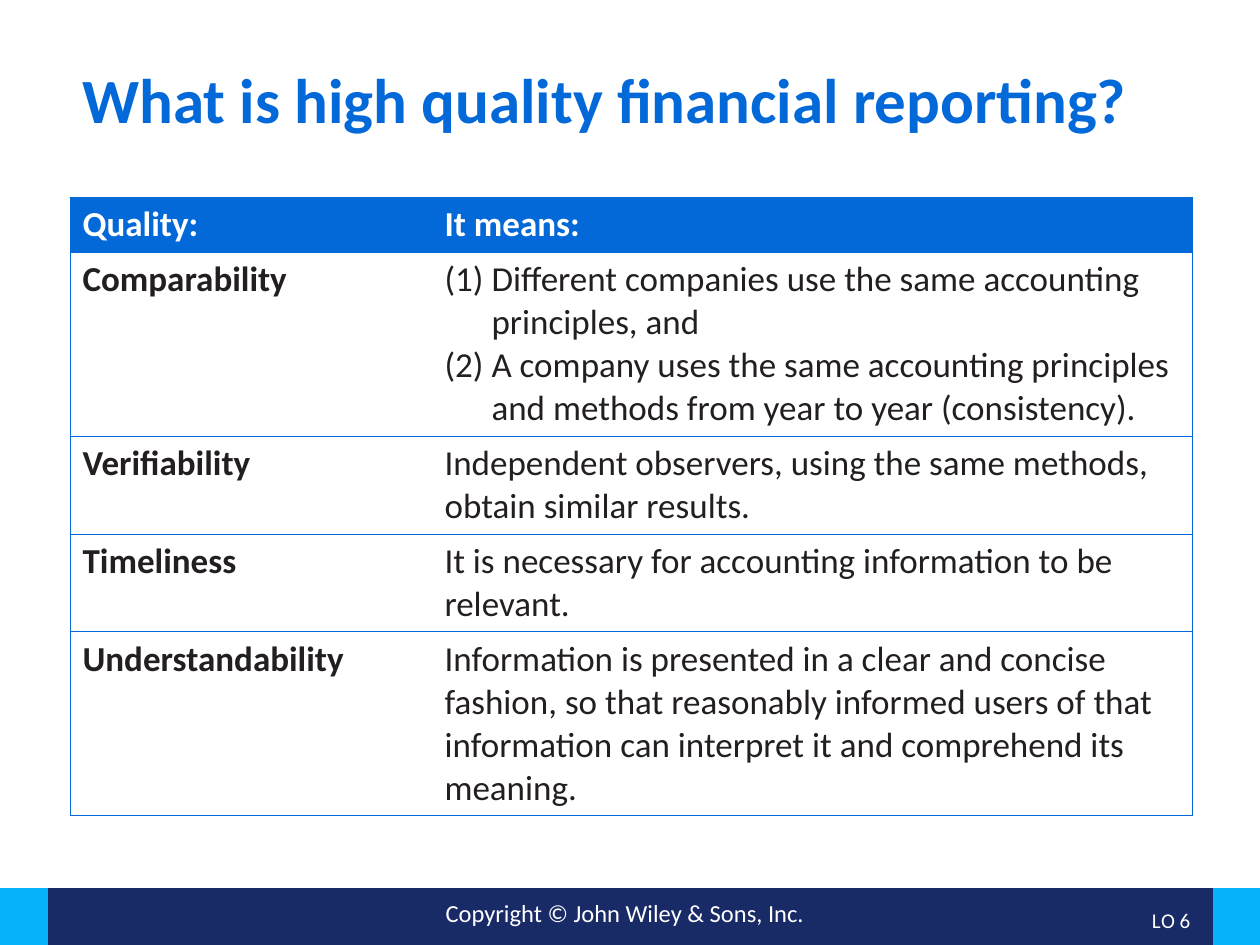
import pptx
import pptx.dml.color
import pptx.enum.shapes
import pptx.enum.text
import pptx.oxml.ns
import pptx.util
from lxml import etree

RGB = pptx.dml.color.RGBColor
ALIGN = pptx.enum.text.PP_ALIGN
ANCHOR = pptx.enum.text.MSO_ANCHOR
BLUE = RGB(0x04, 0x69, 0xD8)
NAVY = RGB(0x19, 0x2B, 0x67)
SKY = RGB(0x06, 0xB2, 0xFA)
INK = RGB(0x23, 0x1F, 0x20)
WHITE = RGB(0xFF, 0xFF, 0xFF)

TITLE = "What is high quality financial reporting?"
COPYRIGHT = "Copyright © John Wiley & Sons, Inc."
OBJECTIVE = [("L", 12), (" ", 1), ("O 6", 12)]
ROWS = [
    ("Quality:", ["It means:"]),
    ("Comparability", [
        "Different companies use the same accounting principles, and",
        "A company uses the same accounting principles and methods from year to year (consistency).",
    ]),
    ("Verifiability", ["Independent observers, using the same methods, obtain similar results."]),
    ("Timeliness", ["It is necessary for accounting information to be relevant."]),
    ("Understandability", [
        "Information is presented in a clear and concise fashion, so that reasonably informed "
        "users of that information can interpret it and comprehend its meaning.",
    ]),
]
COLUMN_WIDTHS = [362, 760]
ROW_HEIGHTS = [55, 184, 98, 98, 184]
TABLE_LEFT, TABLE_TOP = 70, 197
BANDS = [(48, 1165, NAVY), (0, 48, SKY), (1213, 47, SKY)]
BAND_TOP, BAND_HEIGHT = 888, 57
NUMBER_INDENT = 47


def px(length):
    return pptx.util.Emu(round(length * 914400 / 126))


def place(shape, left, top, width, height):
    shape.left, shape.top, shape.width, shape.height = map(px, (left, top, width, height))


def write(para, text, size, color, bold=False):
    span = para.add_run()
    span.text = text
    span.font.color.rgb = color
    for name, value in {"name": "Calibri", "size": pptx.util.Pt(size), "bold": bold}.items():
        setattr(span.font, name, value)


def set_bullet(para, kind, indent=0, **attributes):
    properties = para._p.get_or_add_pPr()
    properties.set("marL", str(px(indent)))
    properties.set("indent", str(-px(indent)))
    etree.SubElement(properties, pptx.oxml.ns.qn(kind), attributes)


def set_borders(cell, sides):
    properties = cell._tc.get_or_add_tcPr()
    for side in "LRTB":
        line = etree.SubElement(properties, pptx.oxml.ns.qn(f"a:ln{side}"), w="6350")
        if side in sides:
            fill = etree.SubElement(line, pptx.oxml.ns.qn("a:solidFill"))
            etree.SubElement(fill, pptx.oxml.ns.qn("a:srgbClr"), val=str(BLUE))
        else:
            etree.SubElement(line, pptx.oxml.ns.qn("a:noFill"))


def fill_cell(cell, texts, color, bold):
    for index, text in enumerate(texts):
        frame = cell.text_frame
        para = frame.add_paragraph() if index else frame.paragraphs[0]
        if len(texts) > 1:
            set_bullet(para, "a:buAutoNum", NUMBER_INDENT, type="arabicParenBoth")
        write(para, text, 20, color, bold)


def add_footer(slide):
    for left, width, color in BANDS:
        band = slide.shapes.add_shape(
            pptx.enum.shapes.MSO_SHAPE.RECTANGLE,
            px(left), px(BAND_TOP), px(width), px(BAND_HEIGHT))
        band.shadow.inherit = False
        band.fill.solid()
        band.fill.fore_color.rgb = color
        band.line.fill.background()
    box = slide.shapes.add_textbox(px(315), px(892), px(620), px(43))
    box.text_frame.word_wrap = True
    para = box.text_frame.paragraphs[0]
    para.alignment = ALIGN.CENTER
    write(para, COPYRIGHT, 14, WHITE)


def add_title(slide):
    title = slide.shapes.title
    place(title, 70, 63, 1120, 117)
    title.text_frame.vertical_anchor = ANCHOR.TOP
    title.text_frame.auto_size = pptx.enum.text.MSO_AUTO_SIZE.NONE
    para = title.text_frame.paragraphs[0]
    para.alignment = ALIGN.LEFT
    para.line_spacing = 0.9
    write(para, TITLE, 36, BLUE, True)


def add_quality_table(slide):
    table = slide.shapes.add_table(
        len(ROWS), len(COLUMN_WIDTHS), px(TABLE_LEFT), px(TABLE_TOP),
        px(sum(COLUMN_WIDTHS)), px(sum(ROW_HEIGHTS))).table
    table.first_row = table.horz_banding = False
    for column, width in zip(table.columns, COLUMN_WIDTHS):
        column.width = px(width)
    for index, (quality, meanings) in enumerate(ROWS):
        table.rows[index].height = px(ROW_HEIGHTS[index])
        header = index == 0
        for column, texts in enumerate(([quality], meanings)):
            cell = table.cell(index, column)
            set_borders(cell, "TBR" if column else "TBL")
            cell.fill.solid()
            cell.fill.fore_color.rgb = BLUE if header else WHITE
            fill_cell(cell, texts, WHITE if header else INK, header or column == 0)


def add_objective(slide):
    body = slide.placeholders[1]
    place(body, 1100, 895, 103, 50)
    body.text_frame.vertical_anchor = ANCHOR.MIDDLE
    body.text_frame.auto_size = pptx.enum.text.MSO_AUTO_SIZE.NONE
    para = body.text_frame.paragraphs[0]
    para.space_before = pptx.util.Pt(0)
    set_bullet(para, "a:buNone")
    para.alignment = ALIGN.RIGHT
    for text, size in OBJECTIVE:
        write(para, text, size, WHITE)
    slide.shapes._spTree.append(body._element)


def main():
    deck = pptx.Presentation()
    deck.slide_width, deck.slide_height = px(1260), px(945)
    slide = deck.slides.add_slide(deck.slide_layouts[1])
    add_footer(slide)
    add_title(slide)
    add_quality_table(slide)
    add_objective(slide)
    deck.save("out.pptx")


if __name__ == "__main__":
    main()
